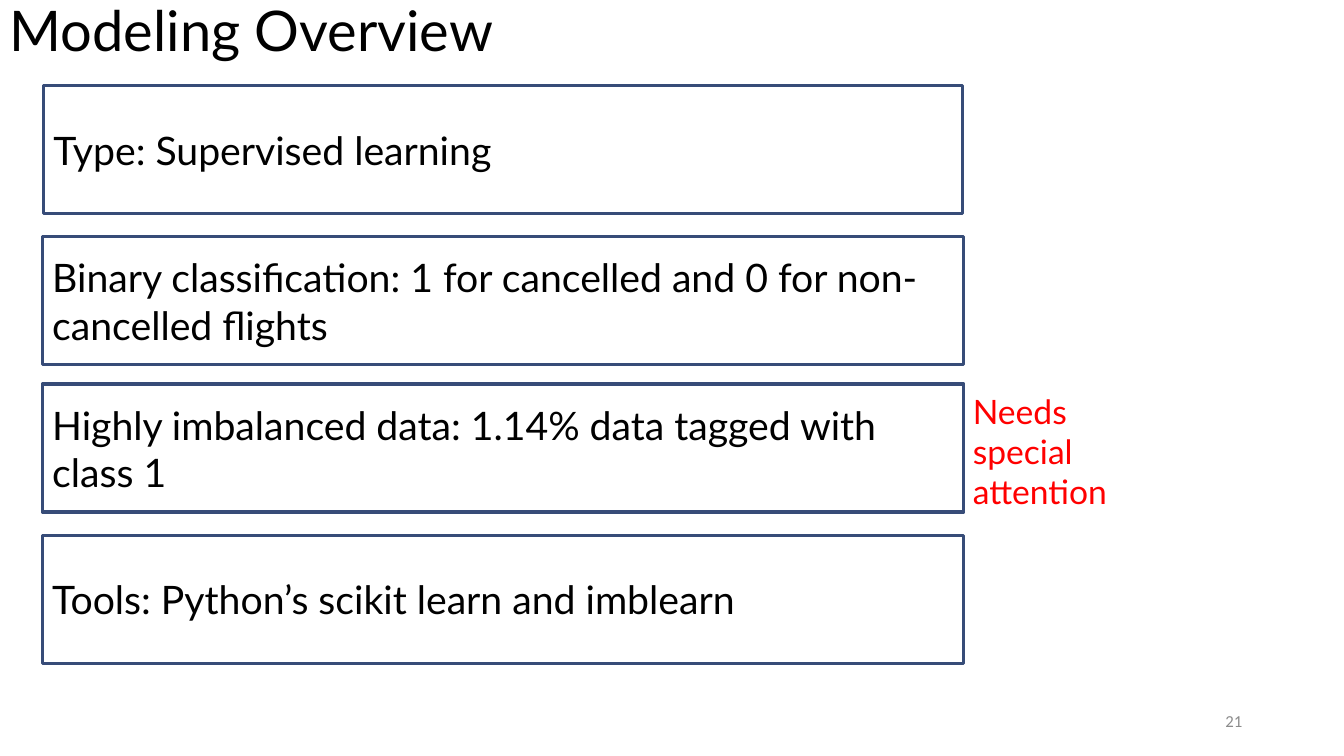
from pptx import Presentation
from pptx.dml.color import RGBColor
from pptx.enum.shapes import MSO_SHAPE
from pptx.enum.text import MSO_ANCHOR, PP_ALIGN
from pptx.util import Inches, Pt

RECT = MSO_SHAPE.RECTANGLE
MIDDLE = MSO_ANCHOR.MIDDLE
LEFT, RIGHT = PP_ALIGN.LEFT, PP_ALIGN.RIGHT

COLORS = {"text": "000000", "border": "374C78", "alert": "FF0000", "number": "8C8C8C"}

# Left, top, width and text of each box
BOX_HEIGHT = 1.27
BOXES = [
    (0.43, 0.85, 9.12, "Type: Supervised learning"),
    (0.42, 2.35, 9.14, "Binary classification: 1 for cancelled and 0 for non-cancelled flights"),
    (0.42, 3.81, 9.14, "Highly imbalanced data: 1.14% data tagged with class 1"),
    (0.42, 5.31, 9.14, "Tools: Python’s scikit learn and imblearn"),
]


def color(name):
    return RGBColor.from_string(COLORS[name])


def write(sp, text, size, name="text", font="Lato", align=LEFT):
    tf = sp.text_frame
    tf.word_wrap = True
    tf.vertical_anchor = MIDDLE
    tf.text = text
    p = tf.paragraphs[0]
    p.alignment = align
    r = p.runs[0]
    r.font.size = Pt(size)
    r.font.name = font
    r.font.color.rgb = color(name)
    return p


def add_text(s, left, top, width, height, text, size, **style):
    sp = s.shapes.add_textbox(Inches(left), Inches(top), Inches(width), Inches(height))
    return sp, write(sp, text, size, **style)


def add_box(s, left, top, width, text):
    sp = s.shapes.add_shape(RECT, Inches(left), Inches(top), Inches(width), Inches(BOX_HEIGHT))
    sp.shadow.inherit = False
    sp.fill.background()
    sp.line.color.rgb = color("border")
    sp.line.width = Pt(2.25)
    write(sp, text, 28)


def main():
    prs = Presentation()
    prs.slide_width, prs.slide_height = Inches(13.33), Inches(7.5)
    s = prs.slides.add_slide(prs.slide_layouts[6])

    # Title
    _, p = add_text(s, 0, 0, 13.33, 0.66, "Modeling Overview", 40)
    p.line_spacing = 0.9

    # Boxes
    for box in BOXES:
        add_box(s, *box)

    # Side remark, one word per line
    remark, _ = add_text(s, 9.55, 4.16, 2.19, 0.63, "Needs special attention", 24, name="alert")
    remark.text_frame.margin_right = Inches(0.3)

    # Slide number
    add_text(s, 9.42, 6.95, 3, 0.4, "21", 12, name="number", font="Calibri", align=RIGHT)

    prs.save("out.pptx")


if __name__ == "__main__":
    main()
